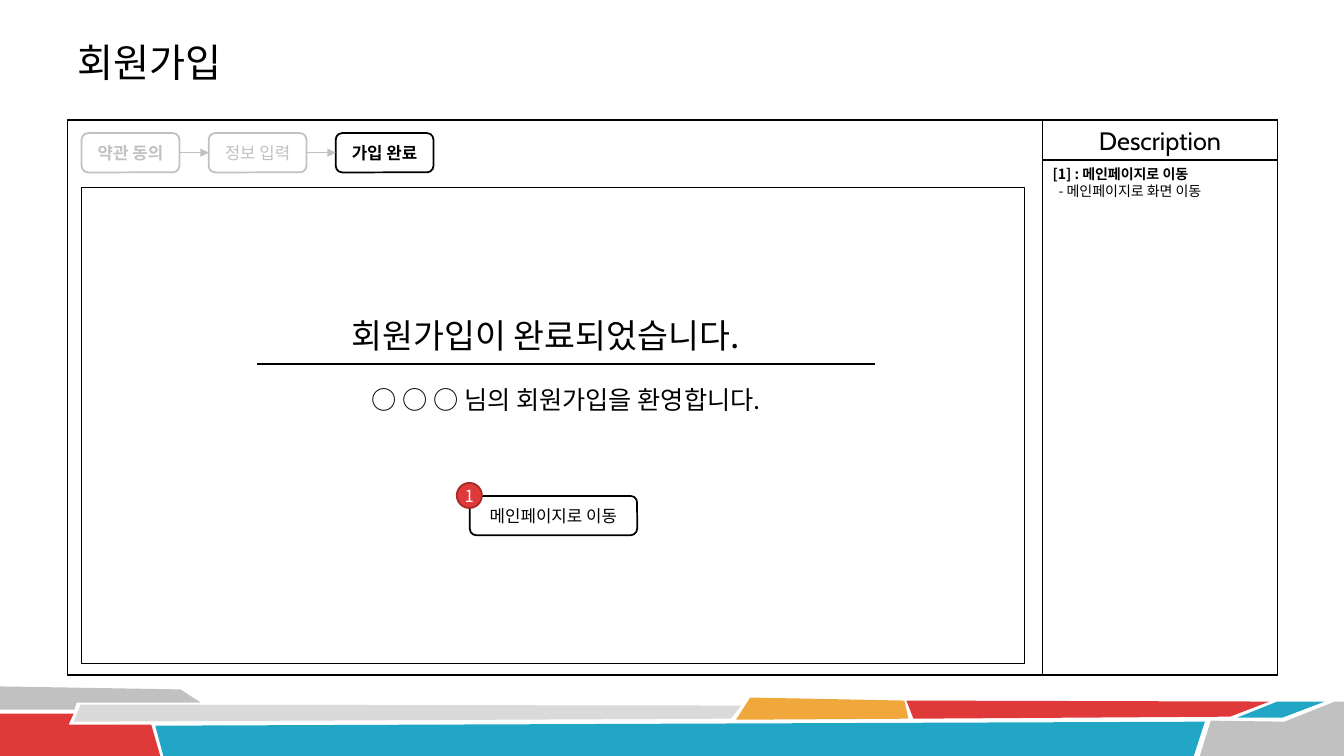
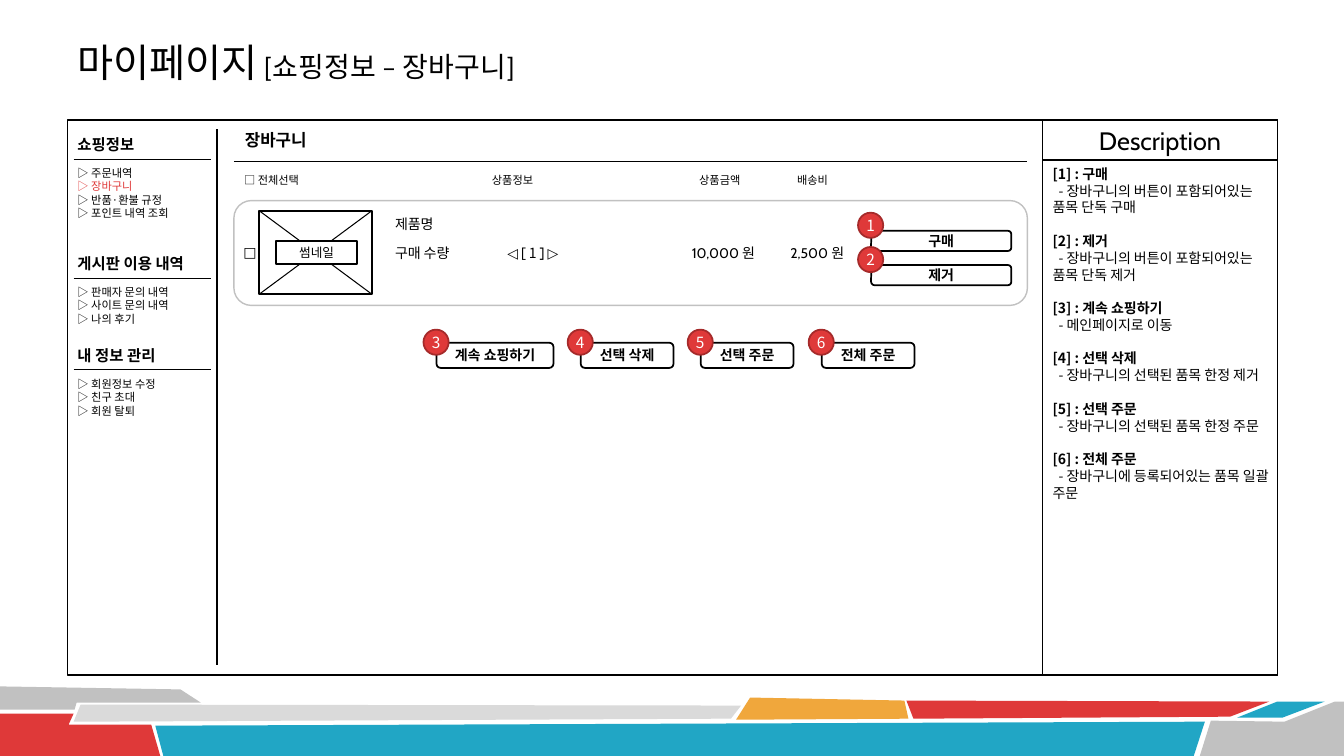
from lxml.etree import SubElement
from pptx import Presentation
from pptx.dml.color import RGBColor
from pptx.enum.shapes import MSO_CONNECTOR as Connector, MSO_SHAPE as Shape
from pptx.enum.text import MSO_ANCHOR as Anchor, MSO_AUTO_SIZE as AutoSize, PP_ALIGN as Align
from pptx.oxml.ns import qn
from pptx.util import Inches, Pt

COLORS = {
    "black": "000000", "white": "FFFFFF", "gray": "C1C1C1", "light": "DADADA",
    "red": "DF3939", "dark_red": "A52A2A", "teal": "21A6C5", "amber": "F0A73C",
}
KOREAN, LATIN, TITLE = "Noto Sans CJK KR", "Cabin", "Calibri"
LINE_HEIGHT = 1.2

# Footer bands shared by every slide: colour and outline
BANDS = [
    ("gray", [(0, 6.81), (1.79, 6.84), (1.99, 6.97), (0.76, 6.97), (0.74, 7.04), (0, 7.04)]),
    ("red", [(0, 7.08), (0.73, 7.08), (0.68, 7.19), (1.5, 7.19), (1.59, 7.5), (0, 7.5)]),
    ("light", [(0.8, 6.99), (7.35, 7), (7.25, 7.13), (0.73, 7.16)]),
    ("teal", [(1.54, 7.2), (11.95, 7.16), (11.84, 7.5), (1.62, 7.5)]),
    ("amber", [(7.44, 6.92), (8.97, 6.95), (9.01, 7.13), (7.3, 7.14)]),
    ("red", [(8.99, 6.95), (12.59, 6.96), (12.2, 7.11), (9.06, 7.13)]),
    ("teal", [(12.67, 6.96), (13.14, 6.96), (12.72, 7.12), (12.27, 7.12)]),
    ("gray", [(12.01, 7.15), (12.74, 7.16), (13.24, 6.96), (13.33, 6.96),
              (13.33, 7.5), (11.9, 7.5)]),
]


def rgb(name):
    return RGBColor.from_string(COLORS[name])


def inches(*lengths):
    return [Inches(length) for length in lengths]


class Storyboard:
    """Holds the style and the slide being drawn."""

    def __init__(self):
        self.deck = Presentation()
        self.deck.slide_width, self.deck.slide_height = inches(13.33, 7.5)
        self.layout = self.deck.slide_layouts.get_by_name("Title and Content")
        self.slide = self.shapes = None

    # Slide frame
    def new_slide(self, title, notes, subtitle=""):
        self.slide = self.deck.slides.add_slide(self.layout)
        self.shapes = self.slide.shapes
        if len(self.deck.slides) == 1:
            self.furnish_layout()
        heading = self.shapes.title
        self.place(heading, (0.67, 0.31, 12, 0.61))
        runs = [(title, {})] + ([(subtitle, {"size": 20})] if subtitle else [])
        self.set_text(heading.text_frame, [runs], size=28, font=TITLE)
        self.description(notes)

    def furnish_layout(self):
        shared = [self.band(color, points) for color, points in BANDS]
        shared.append(self.box((0.67, 1.19, 12, 5.51)))
        for number, shape in enumerate(shared, 100):
            shape.element.nvSpPr.cNvPr.set("id", str(number))
            self.layout.shapes.element.append(shape.element)

    def description(self, notes):
        panel = self.slide.placeholders[1]
        self.place(panel, (10.34, 1.59, 2.33, 5.11))
        self.paint(panel, None, "black", 1.25)
        lines = []
        for number, (action, result) in enumerate(notes, 1):
            lines += [[(f"[{number}] : {action}", {"bold": True})], f"- {result}"]
        self.set_text(panel.text_frame, lines, size=10, anchor=Anchor.TOP)
        panel.text_frame.margin_right = Inches(0.05)
        for index, paragraph in enumerate(panel.text_frame.paragraphs):
            is_result = index % 2
            paragraph.space_before = Pt(12 if index and not is_result else 0)
            properties = paragraph._p.get_or_add_pPr()
            properties.set("marL", "0")
            properties.set("indent", str(Inches(0.06) if is_result else 0))
            SubElement(properties, qn("a:buNone"))
        self.box((10.34, 1.19, 2.33, 0.4), "Description", fill=None, size=18, font=LATIN)

    # Formatting
    def place(self, shape, at):
        for side, length in zip(("left", "top", "width", "height"), inches(*at)):
            setattr(shape, side, length)

    def paint(self, shape, fill, line=None, weight=1.25):
        if fill:
            shape.fill.solid()
            shape.fill.fore_color.rgb = rgb(fill)
        else:
            shape.fill.background()
        if line:
            shape.line.color.rgb = rgb(line)
            shape.line.width = Pt(weight)
        else:
            shape.line.fill.background()

    def set_text(self, frame, lines, size=10, font=KOREAN, color="black", bold=False,
                 align=Align.LEFT, anchor=Anchor.MIDDLE):
        layout = {"word_wrap": True, "auto_size": AutoSize.NONE, "vertical_anchor": anchor}
        for name, value in layout.items():
            setattr(frame, name, value)
        for index, line in enumerate(lines):
            paragraph = frame.add_paragraph() if index else frame.paragraphs[0]
            paragraph.alignment = align
            paragraph.line_spacing = Pt(size * LINE_HEIGHT)
            for text, changes in [(line, {})] if isinstance(line, str) else line:
                style = {"size": size, "name": font, "bold": bold, "color": color, **changes}
                run = paragraph.add_run()
                run.text = text
                run.font.color.rgb = rgb(style.pop("color"))
                style["size"] = Pt(style["size"])
                for name, value in style.items():
                    setattr(run.font, name, value)
                SubElement(run._r.get_or_add_rPr(), qn("a:ea"), typeface=style["name"])

    # Elements
    def band(self, color, points):
        start, *rest = [inches(*point) for point in points]
        outline = self.shapes.build_freeform(*start, scale=1.0)
        outline.add_line_segments(rest, close=True)
        band = outline.convert_to_shape()
        band.shadow.inherit = False
        self.paint(band, color)
        return band

    def box(self, at, text="", kind=Shape.RECTANGLE, fill="white", line="black",
            weight=1.25, **style):
        box = self.shapes.add_shape(kind, *inches(*at))
        box.shadow.inherit = False
        self.paint(box, fill, line, weight)
        if text:
            self.set_text(box.text_frame, [text], align=Align.CENTER, **style)
        return box

    def button(self, at, text, badge=None, badge_rise=0.13, badge_size=11, **style):
        button = self.box(at, text, Shape.ROUNDED_RECTANGLE, **style)
        if badge:
            left, top = at[:2]
            mark = self.box((left - 0.13, top - badge_rise, 0.25, 0.25), str(badge), Shape.OVAL,
                            "red", "dark_red", size=badge_size, color="white")
            for side in ("left", "top", "right", "bottom"):
                setattr(mark.text_frame, f"margin_{side}", 0)
        return button

    def text(self, at, *lines, anchor=Anchor.TOP, **style):
        label = self.shapes.add_textbox(*inches(*at))
        self.set_text(label.text_frame, lines, anchor=anchor, **style)
        return label

    def line(self, start, end, color="black", weight=0.75, arrow=False):
        line = self.shapes.add_connector(Connector.STRAIGHT, *inches(*start, *end))
        line.line.color.rgb = rgb(color)
        line.line.width = Pt(weight)
        properties = line.element.spPr
        if arrow:
            SubElement(properties.find(qn("a:ln")), qn("a:tailEnd"), type="triangle")
        SubElement(properties, qn("a:effectLst"))
        return line

    def header_row(self, at, columns):
        table = self.shapes.add_table(1, len(columns), *inches(*at)).table
        table.first_row = table.horz_banding = False
        for index, (label, width) in enumerate(columns):
            table.columns[index].width = Inches(width)
            cell = table.cell(0, index)
            cell.fill.background()
            cell.margin_top = cell.margin_bottom = Inches(0.03)
            cell.vertical_anchor = Anchor.MIDDLE
            self.set_text(cell.text_frame, [label], size=8,
                          align=Align.CENTER if index else Align.LEFT)

    def thumbnail(self, left, top, width, height, label):
        self.shapes = self.shapes.add_group_shape().shapes
        right, bottom = left + width, top + height
        self.box((left, top, width, height))
        self.line((left, top), (right, bottom))
        self.line((right, top), (left, bottom))
        self.box((left + 0.17, top + 0.3, 0.8, 0.23), label, size=9, font=LATIN)
        self.shapes = self.slide.shapes

    def menu(self, top, heading, items, current=None):
        self.text((0.67, top, 1.49, 0.29), heading, size=11, bold=True)
        self.line((0.73, top + 0.29), (2.09, top + 0.29))
        lines = [[(f"▷ {item}", {"color": "red" if item == current else "black"})]
                 for item in items]
        self.text((0.67, top + 0.31, 1.49, 0.1 + 0.13 * len(items)), *lines, size=8)


def signup_complete(board):
    board.new_slide("회원가입", [("메인페이지로 이동", "메인페이지로 화면 이동")])

    # Progress steps
    steps = [("약관 동의", "gray", True), ("정보 입력", "gray", False),
             ("가입 완료", "black", True)]
    previous = None
    for index, (label, color, bold) in enumerate(steps):
        step = board.button((0.81 + 1.26 * index, 1.32, 0.97, 0.39), label,
                            size=12, line=color, color=color, bold=bold)
        if previous:
            arrow = board.line((0, 0), (1, 1), "gray", arrow=True)
            arrow.begin_connect(previous, 3)
            arrow.end_connect(step, 1)
        previous = step

    # Welcome message
    board.box((0.81, 1.86, 9.35, 4.72), fill=None, weight=0.75)
    board.text((3.39, 3.08, 4.46, 0.5), "회원가입이 완료되었습니다.", size=24)
    board.line((2.55, 3.61), (8.68, 3.61), weight=1.25)
    board.text((2.55, 3.76, 6.13, 0.4), "○ ○ ○ 님의 회원가입을 환영합니다.",
               size=18, align=Align.CENTER)
    board.button((4.66, 4.92, 1.66, 0.39), "메인페이지로 이동", 1, badge_size=12, size=12)


def shopping_cart(board):
    board.new_slide("마이페이지", [
        ("구매", "장바구니의 버튼이 포함되어있는 품목 단독 구매"),
        ("제거", "장바구니의 버튼이 포함되어있는 품목 단독 제거"),
        ("계속 쇼핑하기", "메인페이지로 이동"),
        ("선택 삭제", "장바구니의 선택된 품목 한정 제거"),
        ("선택 주문", "장바구니의 선택된 품목 한정 주문"),
        ("전체 주문", "장바구니에 등록되어있는 품목 일괄 주문"),
    ], " [쇼핑정보 – 장바구니]")

    # Side menu
    board.line((2.15, 1.28), (2.15, 6.6), weight=1.25)
    board.menu(1.29, "쇼핑정보", ["주문내역", "장바구니", "반품·환불 규정", "포인트 내역 조회"],
               current="장바구니")
    board.menu(2.47, "게시판 이용 내역", ["판매자 문의 내역", "사이트 문의 내역", "나의 후기"])
    board.menu(3.38, "내 정보 관리", ["회원정보 수정", "친구 초대", "회원 탈퇴"])

    # Cart heading and columns
    board.text((2.33, 1.25, 1.39, 0.27), "장바구니", size=12, bold=True, anchor=Anchor.MIDDLE)
    board.line((2.32, 1.6), (10.19, 1.6))
    board.header_row((2.32, 1.68, 6.2, 0.23), [
        ("□ 전체선택", 1.17), ("상품정보", 3.19), ("상품금액", 0.92), ("배송비", 0.92)])

    # Cart item
    board.button((2.32, 1.99, 7.87, 1.04), "", line="gray", weight=1)
    checkbox = board.text((2.36, 2.09, 0.24, 0.82), "□", font=LATIN, align=Align.CENTER,
                          anchor=Anchor.MIDDLE)
    checkbox.text_frame.margin_left = checkbox.text_frame.margin_right = 0
    board.thumbnail(2.57, 2.09, 1.12, 0.83, "썸네일")
    board.text((3.82, 2.09, 1.54, 0.27), "제품명", font=LATIN)
    board.text((3.82, 2.38, 0.86, 0.27), "구매 수량", font=LATIN)
    quantity = [("◁ [", {}), (" 1 ", {"name": KOREAN}), ("] ▷", {})]
    for left, width, value in [(4.68, 1.21, quantity), (6.76, 0.83, "10,000 원"),
                               (7.69, 0.83, "2,500 원")]:
        board.text((left, 2.38, width, 0.27), value, font=LATIN, align=Align.CENTER)

    # Item and cart buttons
    for index, label in enumerate(["구매", "제거"]):
        board.button((8.64, 2.29 + 0.34 * index, 1.39, 0.2), label, index + 1,
                     badge_rise=0.18, bold=True)
    cart_buttons = [(4.33, 1.16, "계속 쇼핑하기"), (5.76, 0.92, "선택 삭제"),
                    (6.95, 0.92, "선택 주문"), (8.15, 0.92, "전체 주문")]
    for badge, (left, width, label) in enumerate(cart_buttons, 3):
        board.button((left, 3.4, width, 0.25), label, badge, bold=True)


def main():
    board = Storyboard()
    signup_complete(board)
    shopping_cart(board)
    board.deck.save("out.pptx")


if __name__ == "__main__":
    main()
